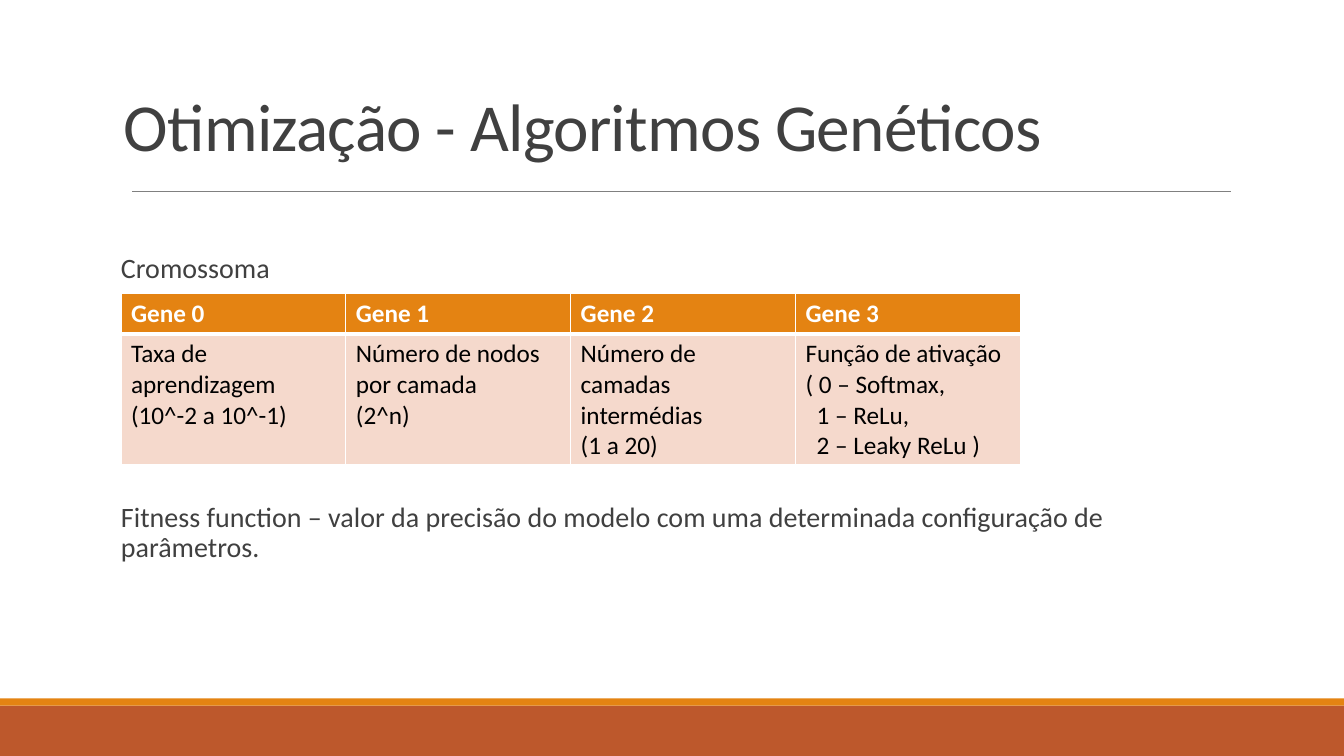
from dataclasses import dataclass

from lxml.etree import SubElement
from pptx import Presentation
from pptx.dml.color import RGBColor
from pptx.enum.shapes import MSO_CONNECTOR, MSO_SHAPE
from pptx.enum.text import MSO_ANCHOR
from pptx.oxml.ns import qn
from pptx.util import Inches, Pt

# Content
TITLE = "Otimização - Algoritmos Genéticos"
CHROMOSOME_LABEL = "Cromossoma"
FITNESS_NOTE = ("Fitness function – valor da precisão do modelo com uma "
                "determinada configuração de parâmetros.")
# Each gene: heading, then (line, indented) pairs
GENES = [
    ("Gene 0", [("Taxa de aprendizagem", False), ("(10^-2 a 10^-1)", False)]),
    ("Gene 1", [("Número de nodos por camada", False), ("(2^n)", False)]),
    ("Gene 2", [("Número de camadas intermédias", False), ("(1 a 20)", False)]),
    ("Gene 3", [("Função de ativação", False), ("( 0 – Softmax,", False),
                ("1 – ReLu,", True), ("2 – Leaky ReLu )", True)]),
]


@dataclass(frozen=True)
class Theme:
    font: str = "Calibri"
    text: str = "404040"
    cell_text: str = "000000"
    white: str = "FFFFFF"
    orange: str = "E48312"
    rust: str = "BD582C"
    peach: str = "F5D9CC"
    rule: str = "808080"
    title_size: int = 48
    body_size: int = 20
    cell_size: int = 18


THEME = Theme()

# Layout, in inches
SLIDE_W, SLIDE_H = 13.33, 7.5
BODY_LEFT, BODY_W = 1.2, 11
BARS = [(7, 0.5, THEME.rust), (6.93, 0.07, THEME.orange)]
RULE_LEFT, RULE_RIGHT, RULE_Y = 1.31, 12.21, 1.9
TABLE_TOP, GENE_W = 2.91, 2.23
ROW_HEIGHTS = (0.4, 1.3)
OPTION_INDENT = 0.11


def add_run(paragraph, text, size, color, bold=False):
    run = paragraph.add_run()
    run.text = text
    run.font.name = THEME.font
    run.font.size = Pt(size)
    run.font.bold = bold
    run.font.color.rgb = RGBColor.from_string(color)
    return run


def add_text(slide, box, text, size, spacing, side_inset=0, anchor=MSO_ANCHOR.TOP):
    frame = slide.shapes.add_textbox(*map(Inches, box)).text_frame
    frame.word_wrap = True
    frame.vertical_anchor = anchor
    frame.margin_left = frame.margin_right = Inches(side_inset)
    frame.margin_top = frame.margin_bottom = Inches(0.05)
    paragraph = frame.paragraphs[0]
    paragraph.line_spacing = spacing
    return add_run(paragraph, text, size, THEME.text)


def style_cell(cell, fill, widths):
    """Set white borders (left, right, top, bottom widths) and the fill."""
    cell.fill.solid()
    cell.fill.fore_color.rgb = RGBColor.from_string(fill)
    properties = cell._tc.get_or_add_tcPr()
    for position, (side, width) in enumerate(zip("LRTB", widths)):
        border = SubElement(properties, qn(f"a:ln{side}"), w=str(Pt(width)))
        solid = SubElement(border, qn("a:solidFill"))
        SubElement(solid, qn("a:srgbClr"), val=THEME.white)
        properties.insert(position, border)


def add_decoration(slide):
    for top, height, color in BARS:
        bar = slide.shapes.add_shape(
            MSO_SHAPE.RECTANGLE, 0, Inches(top), Inches(SLIDE_W), Inches(height))
        bar.shadow.inherit = False
        bar.fill.solid()
        bar.fill.fore_color.rgb = RGBColor.from_string(color)
        bar.line.fill.background()
    rule = slide.shapes.add_connector(
        MSO_CONNECTOR.STRAIGHT, Inches(RULE_LEFT), Inches(RULE_Y),
        Inches(RULE_RIGHT), Inches(RULE_Y))
    rule.line.color.rgb = RGBColor.from_string(THEME.rule)
    rule.line.width = Pt(0.5)
    SubElement(rule._element.spPr, qn("a:effectLst"))


def add_gene_table(slide):
    table = slide.shapes.add_table(
        len(ROW_HEIGHTS), len(GENES), Inches(BODY_LEFT), Inches(TABLE_TOP),
        Inches(GENE_W * len(GENES)), Inches(sum(ROW_HEIGHTS))).table
    for row, height in zip(table.rows, ROW_HEIGHTS):
        row.height = Inches(height)
    for column, (heading, lines) in enumerate(GENES):
        table.columns[column].width = Inches(GENE_W)
        header, details = table.cell(0, column), table.cell(1, column)
        style_cell(header, THEME.orange, (1, 1, 1, 3))
        style_cell(details, THEME.peach, (1, 1, 3, 1))
        add_run(header.text_frame.paragraphs[0], heading,
                THEME.cell_size, THEME.white, bold=True)
        frame = details.text_frame
        for index, (line, indented) in enumerate(lines):
            paragraph = frame.add_paragraph() if index else frame.paragraphs[0]
            if indented:
                paragraph._p.get_or_add_pPr().set("marL", str(Inches(OPTION_INDENT)))
            add_run(paragraph, line, THEME.cell_size, THEME.cell_text)


def main():
    deck = Presentation()
    deck.slide_width, deck.slide_height = Inches(SLIDE_W), Inches(SLIDE_H)
    slide = deck.slides.add_slide(deck.slide_layouts[6])

    add_decoration(slide)

    # Title, slightly tightened
    title = add_text(slide, (1.13, 0.85, 11.14, 0.84), TITLE, THEME.title_size,
                     0.85, side_inset=0.1, anchor=MSO_ANCHOR.BOTTOM)
    title.font._element.set("spc", "-50")

    # Chromosome and fitness function
    add_text(slide, (BODY_LEFT, 2.47, BODY_W, 0.4), CHROMOSOME_LABEL,
             THEME.body_size, 0.9)
    add_gene_table(slide)
    add_text(slide, (BODY_LEFT, 4.94, BODY_W, 0.72), FITNESS_NOTE,
             THEME.body_size, 0.9)

    deck.save("out.pptx")


if __name__ == "__main__":
    main()
